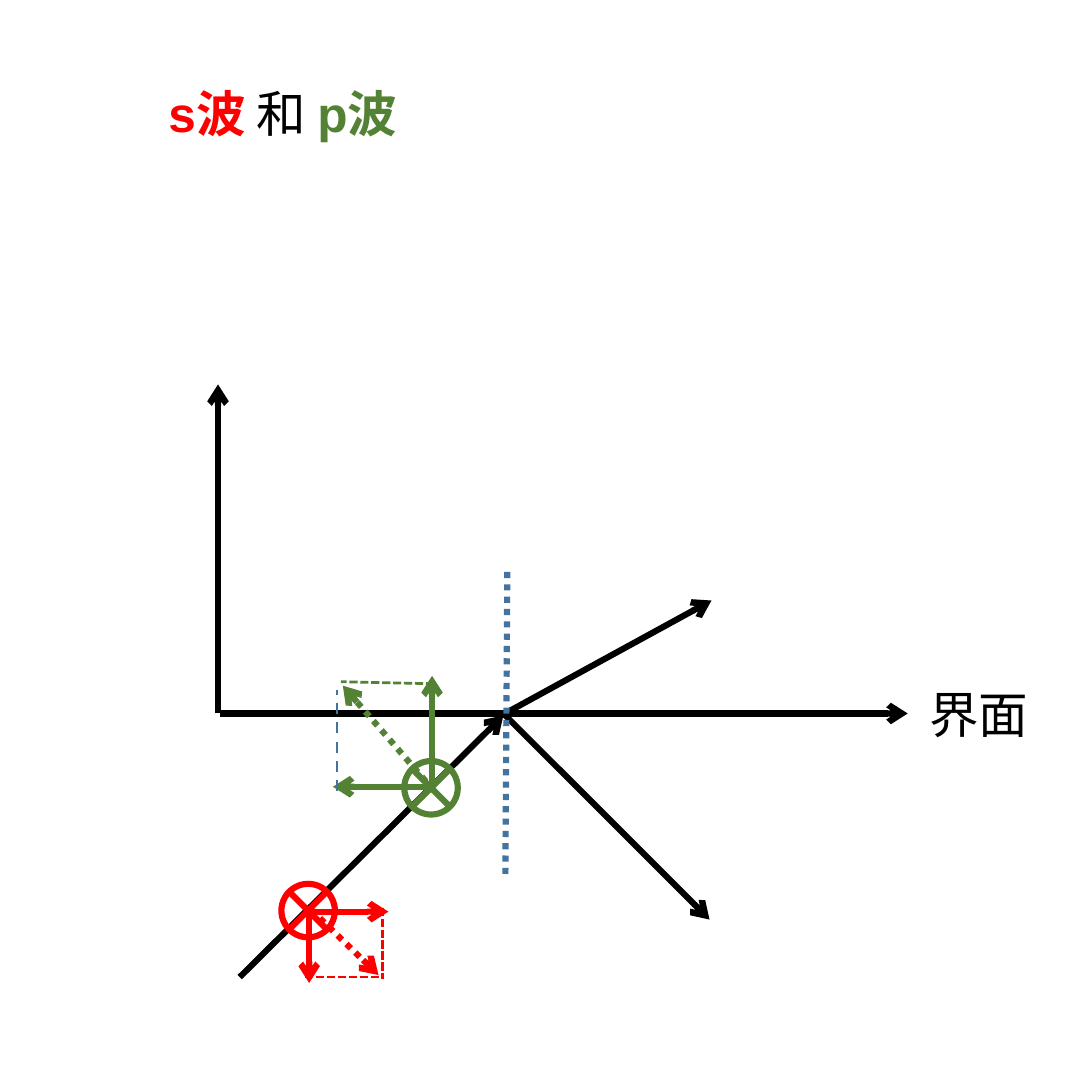
from dataclasses import dataclass
from pptx import Presentation
from pptx import util as u
from pptx.dml.color import RGBColor
from pptx.enum import dml, shapes, text
from pptx.oxml import ns, xmlchemy


@dataclass(frozen=True)
class Theme:
    """Colours, type and line sizes of the slide."""
    black: str = "000000"
    s_wave: str = "FF0000"
    p_wave: str = "548235"
    normal: str = "43739E"
    font: str = "Arial"
    size: int = 18
    thick: float = 2.25
    thin: float = 1


class WaveSlide:
    """Draws the elements of the wave diagram on one slide."""

    def __init__(self, prs, theme):
        """Add a title-only slide."""
        self.theme = theme
        self.s = prs.slides.add_slide(prs.slide_layouts[5])

    def _place(self, sp, box):
        """Set position and size in inches."""
        for name, value in zip(("left", "top", "width", "height"), box):
            setattr(sp, name, u.Inches(value))

    def _write(self, sp, runs, wrap):
        """Fill a text frame with (text, colour, bold) runs."""
        tf = sp.text_frame
        frame = {"word_wrap": wrap, "auto_size": text.MSO_AUTO_SIZE.NONE,
                 "vertical_anchor": text.MSO_ANCHOR.TOP}
        for name, value in frame.items():
            setattr(tf, name, value)
        p = tf.paragraphs[0]
        p.alignment = text.PP_ALIGN.LEFT
        for words, colour, bold in runs:
            r = p.add_run()
            r.text = words
            font = {"name": self.theme.font, "size": u.Pt(self.theme.size), "bold": bold}
            for name, value in font.items():
                setattr(r.font, name, value)
            r.font.color.rgb = RGBColor.from_string(colour)

    def title(self, box, runs):
        """Place and fill the title placeholder."""
        sp = self.s.shapes.title
        self._place(sp, box)
        self._write(sp, runs, True)

    def label(self, box, words):
        """Add a one-line label."""
        sp = self.s.shapes.add_textbox(*map(u.Inches, box))
        self._write(sp, [(words, self.theme.black, False)], False)

    def line(self, start, end, colour, width=None, dash=None, arrow=False):
        """Add a straight line, dashed or with an arrowhead on request."""
        sp = self.s.shapes.add_connector(
            shapes.MSO_CONNECTOR.STRAIGHT, *map(u.Inches, (*start, *end)))
        sp.line.color.rgb = RGBColor.from_string(colour)
        sp.line.width = u.Pt(width or self.theme.thick)
        if dash:
            sp.line.dash_style = dash
        if arrow:
            tail = xmlchemy.OxmlElement("a:tailEnd")
            tail.set("type", "arrow")
            sp.line._get_or_add_ln().append(tail)
        sp._element.spPr.append(xmlchemy.OxmlElement("a:effectLst"))

    def arrow(self, start, end, colour, dash=None):
        """Add a thick arrow."""
        self.line(start, end, colour, dash=dash, arrow=True)

    def junction(self, left, top, colour, side=0.27):
        """Add a crossed circle marking a field into the page."""
        sp = self.s.shapes.add_shape(
            shapes.MSO_SHAPE.FLOWCHART_SUMMING_JUNCTION,
            *map(u.Inches, (left, top, side, side)))
        sp.shadow.inherit = False
        sp.fill.background()
        sp.line.color.rgb = RGBColor.from_string(colour)
        sp.line.width = u.Pt(self.theme.thick)


def main():
    """Build and save the slide."""
    prs = Presentation()
    prs.slide_width = prs.slide_height = u.Inches(5.51)
    t = Theme()
    d = WaveSlide(prs, t)
    dot = dml.MSO_LINE.ROUND_DOT
    short = dml.MSO_LINE.SQUARE_DOT

    d.title((0.75, 0.37, 1.38, 0.4),
            [("s波 ", t.s_wave, True), ("和 ", t.black, False), ("p波", t.p_wave, True)])

    axes_and_rays = [
        ((1.11, 3.6), (4.58, 3.6)),
        ((1.1, 3.6), (1.1, 1.94)),
        ((2.54, 3.6), (3.58, 4.64)),
        ((1.21, 4.93), (2.54, 3.61)),
        ((2.53, 3.61), (3.59, 3.03)),
    ]
    for start, end in axes_and_rays:
        d.arrow(start, end, t.black)
    d.line((2.55, 4.41), (2.56, 2.86), t.normal, dash=dot)

    d.junction(1.42, 4.46, t.s_wave)
    d.junction(2.04, 3.84, t.p_wave)

    fields = [
        ((2.19, 3.99), (1.73, 3.46), t.p_wave, dot),
        ((2.16, 3.97), (1.68, 3.97), t.p_wave, None),
        ((2.18, 3.97), (2.18, 3.41), t.p_wave, None),
        ((1.57, 4.59), (1.91, 4.92), t.s_wave, dot),
        ((1.56, 4.6), (1.96, 4.6), t.s_wave, None),
        ((1.56, 4.59), (1.56, 4.96), t.s_wave, None),
    ]
    for field in fields:
        d.arrow(*field)

    guides = [
        ((1.7, 3.99), (1.7, 3.48), t.normal, dml.MSO_LINE.DASH),
        ((2.19, 3.45), (1.72, 3.44), t.p_wave, short),
        ((1.54, 4.93), (1.93, 4.93), t.s_wave, short),
        ((1.93, 4.58), (1.93, 4.94), t.s_wave, short),
    ]
    for start, end, colour, dash in guides:
        d.line(start, end, colour, t.thin, dash)

    d.label((4.59, 3.4, 0.7, 0.4), "界面")
    prs.save("out.pptx")


if __name__ == "__main__":
    main()
